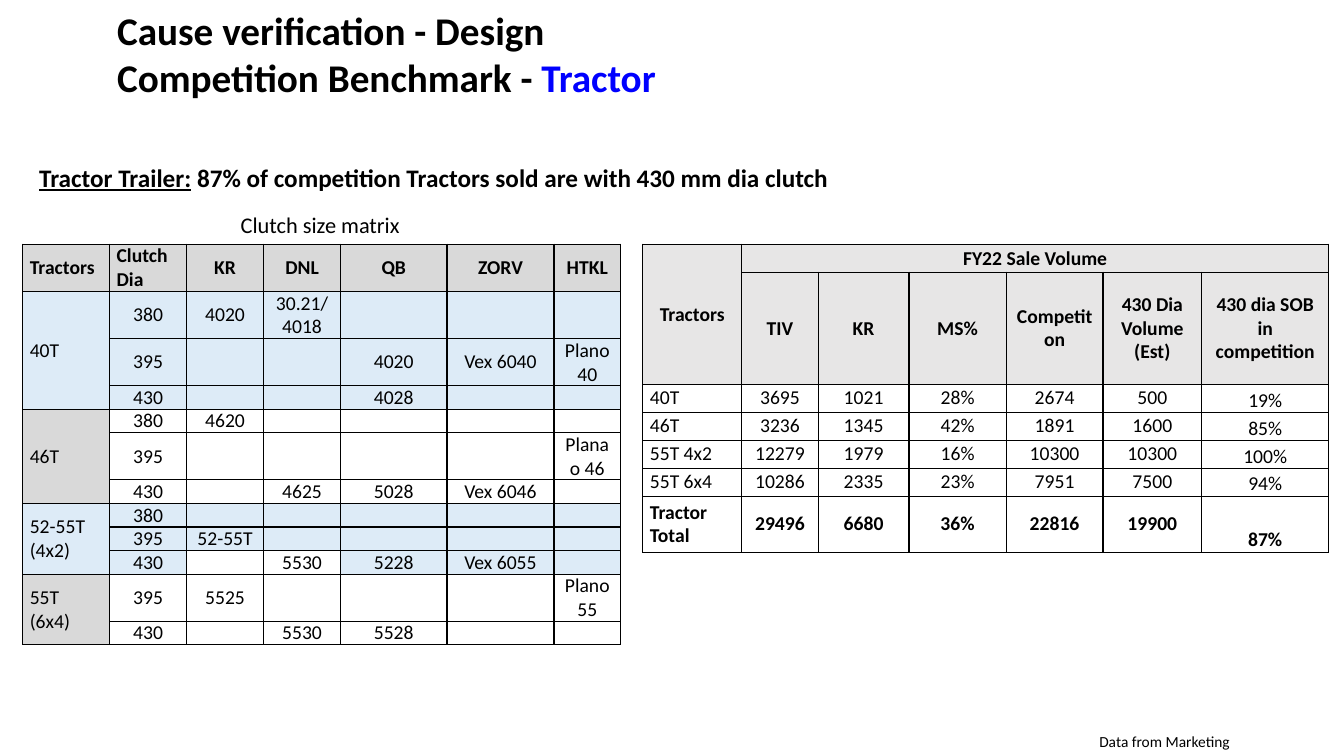
import lxml.etree
import pptx
import pptx.dml.color
import pptx.enum.text
import pptx.oxml.ns
import pptx.util

Pt = pptx.util.Pt
ALIGN = pptx.enum.text.PP_ALIGN
ANCHOR = pptx.enum.text.MSO_ANCHOR
COLORS = {"black": "000000", "blue": "0000FF", "gray": "D9D9D9", "pale": "DDEBF7", "silver": "E7E6E6"}


class Deck:
    """Holds the presentation, its text style and the current slide."""

    def __init__(self, width, height, font):
        self.prs = pptx.Presentation()
        self.prs.slide_width, self.prs.slide_height = Pt(width), Pt(height)
        self.s = self.prs.slides.add_slide(self.prs.slide_layouts[6])
        self.font = font

    def color(self, name):
        return pptx.dml.color.RGBColor.from_string(COLORS[name])

    def style(self, p, size, bold=False, align=ALIGN.LEFT):
        p.alignment = align
        p.font.name, p.font.size, p.font.bold = self.font, Pt(size), bold
        p.font.color.rgb = self.color("black")

    def text(self, box, lines, size, bold=False, align=ALIGN.LEFT, wrap=True, inset=(7.2, 3.6), anchor=ANCHOR.TOP):
        tf = self.s.shapes.add_textbox(*map(Pt, box)).text_frame
        tf.word_wrap, tf.vertical_anchor = wrap, anchor
        tf.margin_left = tf.margin_right = Pt(inset[0])
        tf.margin_top = tf.margin_bottom = Pt(inset[1])
        for i, line in enumerate(lines):
            p = tf.add_paragraph() if i else tf.paragraphs[0]
            for part in line:
                p.add_run().text = part
            self.style(p, size, bold, align)
        return tf

    def borders(self, cell):
        tag = pptx.oxml.ns.qn
        props = cell._tc.get_or_add_tcPr()
        for side in ("a:lnL", "a:lnR", "a:lnT", "a:lnB"):
            line = lxml.etree.SubElement(props, tag(side), w=str(Pt(1)))
            fill = lxml.etree.SubElement(line, tag("a:solidFill"))
            lxml.etree.SubElement(fill, tag("a:srgbClr"), val=COLORS["black"])

    def table(self, left, top, widths, heights, rows, spans, fill, bold, align, anchor, size=14):
        box = (left, top, sum(widths), sum(heights))
        table = self.s.shapes.add_table(len(rows), len(widths), *map(Pt, box)).table
        table.first_row = table.horz_banding = False
        for column, width in zip(table.columns, widths):
            column.width = Pt(width)
        for row, height in zip(table.rows, heights):
            row.height = Pt(height)
        for r, row in enumerate(rows):
            for c, value in enumerate(row):
                cell = table.cell(r, c)
                cell.margin_left = cell.margin_right = Pt(5)
                cell.margin_top = cell.margin_bottom = 0
                cell.vertical_anchor = anchor(r, c)
                self.borders(cell)
                name = fill(r, c)
                if name:
                    cell.fill.solid()
                    cell.fill.fore_color.rgb = self.color(name)
                else:
                    cell.fill.background()
                p = cell.text_frame.paragraphs[0]
                if value:
                    p.add_run().text = value
                self.style(p, size, bold(r, c), align(r, c))
                if not value:
                    lxml.etree.SubElement(p._p, pptx.oxml.ns.qn("a:endParaRPr"), sz=str(size * 100))
        for r, c, last_r, last_c in spans:
            table.cell(r, c).merge(table.cell(last_r, last_c))


CLUTCH_ROWS = [
    ["Tractors", "Clutch Dia", "KR", "DNL", "QB", "ZORV", "HTKL"],
    ["40T", "380", "4020", "30.21/ 4018", "", "", ""],
    ["", "395", "", "", "4020", "Vex 6040", "Plano 40"],
    ["", "430", "", "", "4028", "", ""],
    ["46T", "380", "4620", "", "", "", ""],
    ["", "395", "", "", "", "", "Planao 46"],
    ["", "430", "", "4625", "5028", "Vex 6046", ""],
    ["52-55T (4x2)", "380", "", "", "", "", ""],
    ["", "395", "52-55T", "", "", "", ""],
    ["", "430", "", "5530", "5228", "Vex 6055", ""],
    ["55T (6x4)", "395", "5525", "", "", "", "Plano 55"],
    ["", "430", "", "5530", "5528", "", ""],
]
SALES_ROWS = [
    ["Tractors", "FY22 Sale Volume", "", "", "", "", ""],
    ["", "TIV", "KR", "MS%", "Competiton", "430 Dia Volume (Est)", "430 dia SOB in competition"],
    ["40T", "3695", "1021", "28%", "2674", "500", "19%"],
    ["46T", "3236", "1345", "42%", "1891", "1600", "85%"],
    ["55T 4x2", "12279", "1979", "16%", "10300", "10300", "100%"],
    ["55T 6x4", "10286", "2335", "23%", "7951", "7500", "94%"],
    ["Tractor Total", "29496", "6680", "36%", "22816", "19900", "87%"],
]


def clutch_fill(r, c):
    if r == 0:
        return "gray"
    if r in (1, 2, 3, 7, 8, 9):
        return None if r == 9 and c in (2, 3) else "pale"
    return "gray" if c == 0 else None


def main():
    deck = Deck(960, 540, "Calibri")
    tf = deck.text((20.9, 112.3, 928.8, 29), [["Tractor Trailer:", " 87% of competition Tractors sold are with 430 mm dia clutch"]], 18, bold=True)
    tf.paragraphs[0].runs[0].font.underline = True
    deck.text((164.9, 147.6, 129.6, 26.6), [["Clutch size matrix"]], 16, wrap=False)
    deck.table(
        16.3, 174.5, [62, 55, 55, 55, 76, 76.5, 47.5], [31.7] + [15] * 11, CLUTCH_ROWS,
        spans=[(1, 0, 3, 0), (4, 0, 6, 0), (7, 0, 9, 0), (10, 0, 11, 0)],
        fill=clutch_fill,
        bold=lambda r, c: r == 0,
        align=lambda r, c: ALIGN.LEFT if c == 0 or (r, c) == (0, 1) else ALIGN.CENTER,
        anchor=lambda r, c: ANCHOR.MIDDLE,
    )
    deck.table(
        459.2, 174.5, [70.6, 54.7, 64.8, 69.5, 69.1, 70.6, 90.7], [20, 80] + [20] * 4 + [40], SALES_ROWS,
        spans=[(0, 0, 1, 0), (0, 1, 0, 6)],
        fill=lambda r, c: "silver" if r < 2 else None,
        bold=lambda r, c: r < 2 or r == 6,
        align=lambda r, c: ALIGN.LEFT if c == 0 and r > 1 else ALIGN.CENTER,
        anchor=lambda r, c: ANCHOR.BOTTOM if c == 6 and r > 1 else ANCHOR.MIDDLE,
    )
    deck.text((776.9, 519.1, 108.7, 20.9), [["Data from Marketing"]], 11, align=ALIGN.RIGHT, wrap=False)
    title = [["Cause verification - Design"], ["Competition Benchmark - ", "Tractor"]]
    tf = deck.text((74.2, 1.4, 874.8, 72.7), title, 28, bold=True, inset=(9.4, 5), anchor=ANCHOR.MIDDLE)
    tf.paragraphs[1].runs[1].font.color.rgb = deck.color("blue")
    deck.prs.save("out.pptx")


if __name__ == "__main__":
    main()
